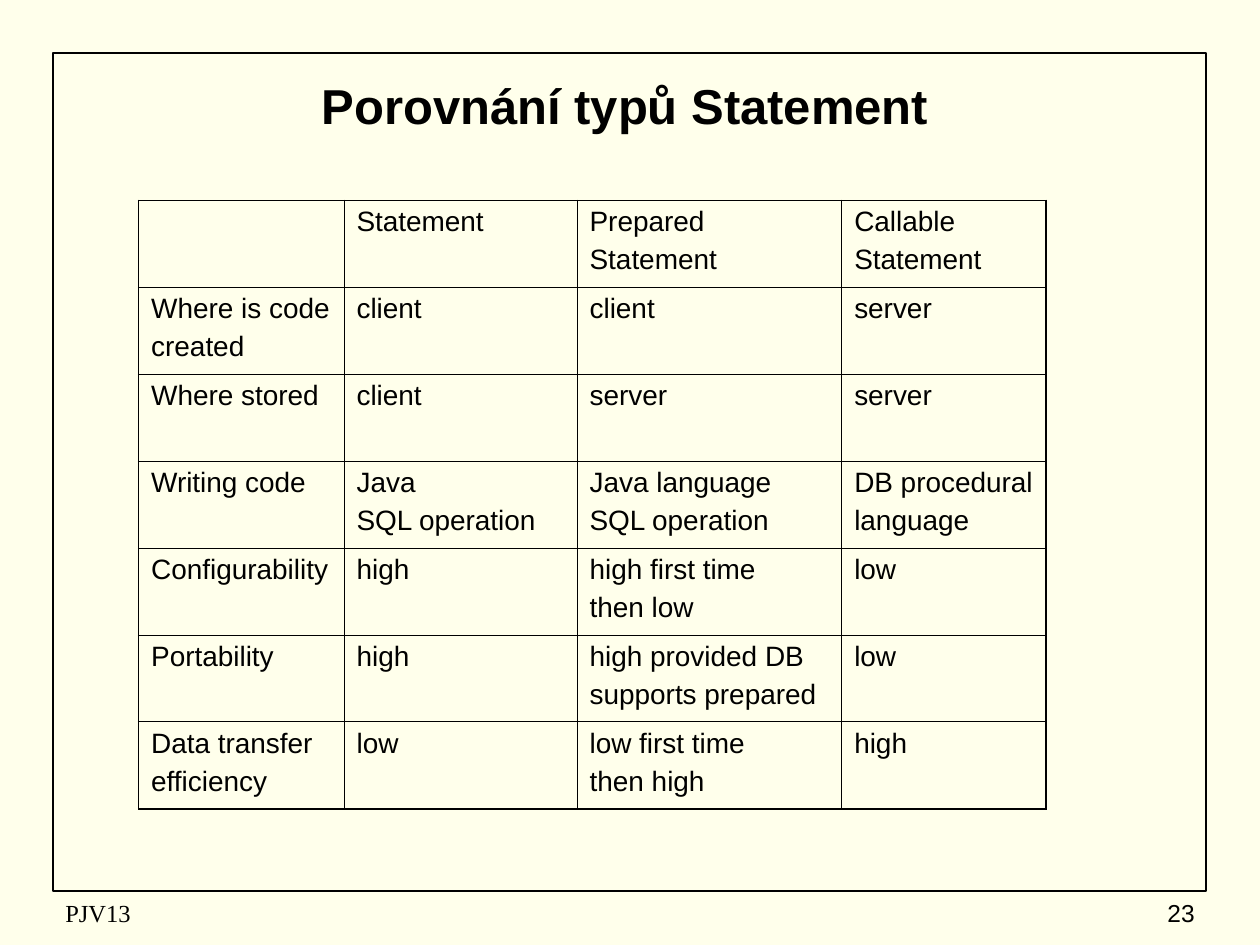
"""Build a slide comparing the types of Statement in a bordered table."""
from dataclasses import dataclass

from lxml import etree
from pptx import Presentation, util as u
from pptx.dml.color import RGBColor
from pptx.enum import shapes, text
from pptx.oxml import ns


@dataclass(frozen=True)
class Theme:
    """Colours, fonts and sizes of the slide."""
    paper: str = "FFFFEB"
    ink: str = "000000"
    sans: str = "Arial"
    serif: str = "Times New Roman"
    title_size: int = 28
    cell_size: int = 16
    footer_size: int = 14
    frame_line: float = 1
    outer_line: float = 1.08
    inner_line: float = 0.45


THEME = Theme()
COLUMN_WIDTHS = (1.63, 1.85, 2.1, 1.62)
ROW_HEIGHT = 0.69
COMPARISON = (
    ("", "Statement", "Prepared\nStatement", "Callable\nStatement"),
    ("Where is code\ncreated", "client", "client", "server"),
    ("Where stored", "client", "server", "server"),
    ("Writing code", "Java\nSQL operation", "Java language\nSQL operation",
     "DB procedural\nlanguage"),
    ("Configurability", "high", "high first time\nthen low", "low"),
    ("Portability", "high", "high provided DB\nsupports prepared", "low"),
    ("Data transfer\nefficiency", "low", "low first time\nthen high", "high"),
)


def apply_format(target, values):
    """Set each named attribute of the target."""
    for name, value in values.items():
        setattr(target, name, value)


def style_font(font, size, face=THEME.sans, bold=False):
    """Give a font its size, face, weight and ink colour."""
    apply_format(font, {"size": u.Pt(size), "name": face, "bold": bold})
    font.color.rgb = RGBColor.from_string(THEME.ink)


def add_frame(slide, box):
    """Draw the unfilled page frame."""
    frame = slide.shapes.add_shape(shapes.MSO_SHAPE.RECTANGLE, *map(u.Inches, box))
    frame.shadow.inherit = False
    frame.fill.background()
    frame.line.color.rgb = RGBColor.from_string(THEME.ink)
    frame.line.width = u.Pt(THEME.frame_line)


def add_label(slide, wording, box, align, size, **font_format):
    """Place one line of text, centred vertically in its box."""
    label = slide.shapes.add_textbox(*map(u.Inches, box)).text_frame
    apply_format(label, {"text": wording, "word_wrap": True,
                         "vertical_anchor": text.MSO_ANCHOR.MIDDLE})
    line = label.paragraphs[0]
    line.alignment = align
    style_font(line.runs[0].font, size, **font_format)


def add_borders(cell, outer_sides):
    """Line all four sides of a cell, heavier on the outer ones."""
    properties = cell._tc.get_or_add_tcPr()
    for side in "LRTB":
        weight = THEME.outer_line if side in outer_sides else THEME.inner_line
        border = etree.SubElement(properties, ns.qn(f"a:ln{side}"), w=str(u.Pt(weight)))
        fill = etree.SubElement(border, ns.qn("a:solidFill"))
        etree.SubElement(fill, ns.qn("a:srgbClr"), val=THEME.ink)


def fill_cell(cell, wording, outer_sides):
    """Write a cell's lines and set its borders."""
    add_borders(cell, outer_sides)
    cell.fill.background()
    cell.text = wording
    for index, line in enumerate(cell.text_frame.paragraphs):
        style_font(line.font, THEME.cell_size)
        for run in line.runs:
            style_font(run.font, THEME.cell_size)
        if index:
            line.space_before = u.Pt(4)


def add_comparison(slide, left, top):
    """Add the comparison table."""
    row_count, column_count = len(COMPARISON), len(COLUMN_WIDTHS)
    extent = (left, top, sum(COLUMN_WIDTHS), ROW_HEIGHT * row_count)
    table = slide.shapes.add_table(row_count, column_count, *map(u.Inches, extent)).table
    apply_format(table, {"first_row": False, "horz_banding": False})
    for column, width in zip(table.columns, COLUMN_WIDTHS):
        column.width = u.Inches(width)
    for r, wordings in enumerate(COMPARISON):
        table.rows[r].height = u.Inches(ROW_HEIGHT)
        for c, wording in enumerate(wordings):
            edges = {"L": c == 0, "R": c == column_count - 1,
                     "T": r == 0, "B": r == row_count - 1}
            fill_cell(table.cell(r, c), wording, [s for s in edges if edges[s]])


def main():
    """Build and save the slide."""
    deck = Presentation()
    apply_format(deck, {"slide_width": u.Inches(10), "slide_height": u.Inches(7.5)})
    slide = deck.slides.add_slide(deck.slide_layouts[6])
    slide.background.fill.solid()
    slide.background.fill.fore_color.rgb = RGBColor.from_string(THEME.paper)
    add_frame(slide, (0.42, 0.42, 9.15, 6.65))
    add_label(slide, "Porovnání typů Statement", (0.5, 0.5, 8.92, 0.67),
              text.PP_ALIGN.CENTER, THEME.title_size, bold=True)
    add_comparison(slide, 1.1, 1.59)
    add_label(slide, "PJV13", (0.42, 7.08, 3.17, 0.33),
              text.PP_ALIGN.LEFT, THEME.footer_size, face=THEME.serif)
    add_label(slide, "23", (7.5, 7.08, 2.08, 0.33),
              text.PP_ALIGN.RIGHT, THEME.footer_size)
    deck.save("out.pptx")


if __name__ == "__main__":
    main()
